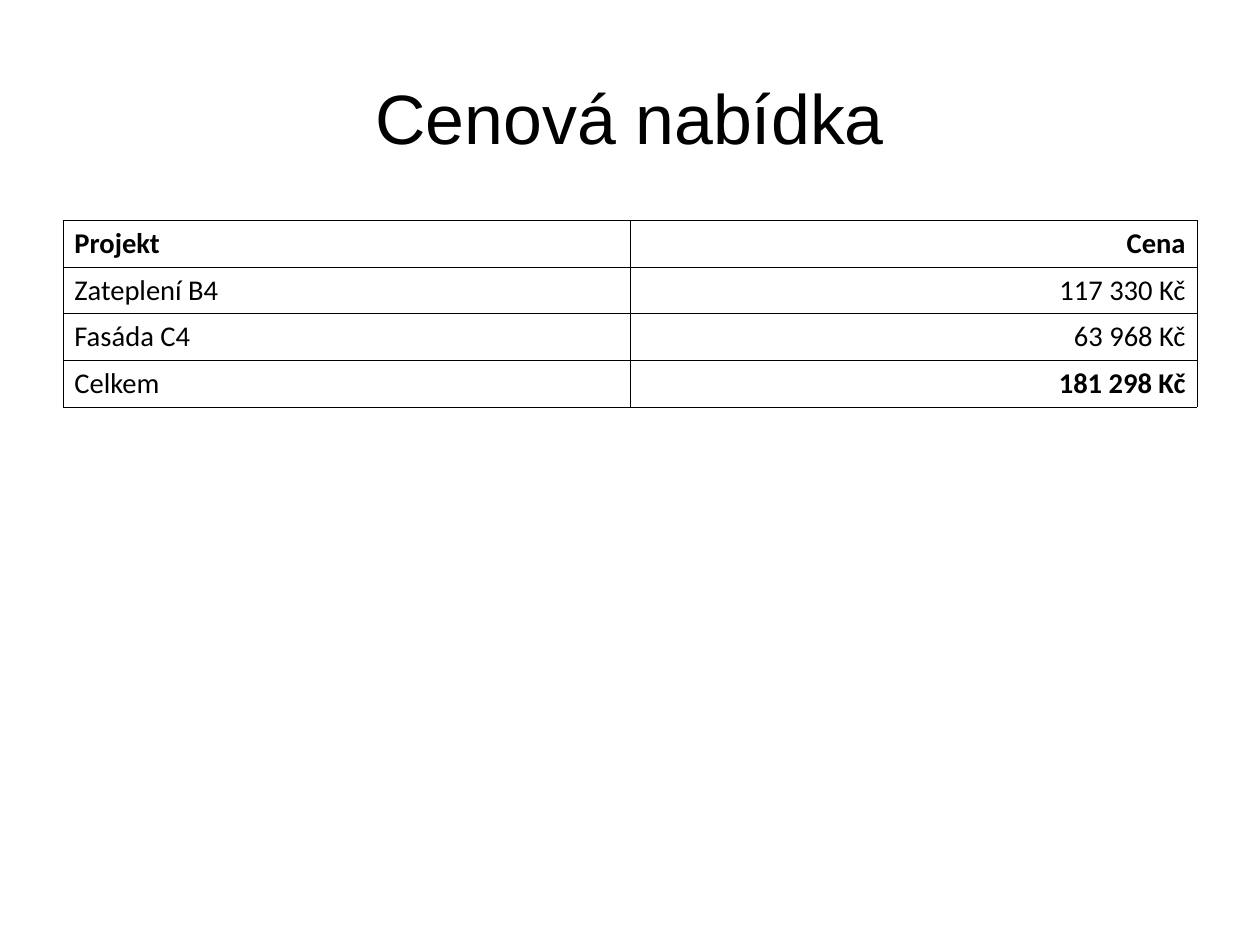
from lxml.etree import SubElement
from pptx import Presentation
from pptx.dml.color import RGBColor
from pptx.enum.text import MSO_ANCHOR, PP_ALIGN
from pptx.oxml.ns import qn
from pptx.util import Cm, Inches, Pt

TITLE = "Cenová nabídka"
PRICES = [
    ("Projekt", "Cena"),
    ("Zateplení B4", "117 330 Kč"),
    ("Fasáda C4", "63 968 Kč"),
    ("Celkem", "181 298 Kč"),
]
BOLD_CELLS = {(0, 0), (0, 1), (3, 1)}
ALIGNMENTS = (PP_ALIGN.LEFT, PP_ALIGN.RIGHT)
COLORS = {"text": "000000", "border": "000000"}

SLIDE_W, SLIDE_H = Cm(28), Cm(21)
MARGIN = int(SLIDE_W * 0.05)
CONTENT_W = SLIDE_W - 2 * MARGIN
TITLE_TOP, TITLE_H = Inches(0.33), Inches(1.38)
TABLE_TOP, TABLE_H = Inches(1.93), Inches(1.63)
BORDER_W = Pt(0.45)


def format_text(p, font, size, align, bold=False):
    p.alignment = align
    p.font.name = font
    p.font.size = Pt(size)
    p.font.bold = bold
    p.font.color.rgb = RGBColor.from_string(COLORS["text"])


def add_borders(cell):
    tc_pr = cell._tc.get_or_add_tcPr()
    for side in ("a:lnL", "a:lnR", "a:lnT", "a:lnB"):
        line = SubElement(tc_pr, qn(side), w=str(int(BORDER_W)))
        fill = SubElement(line, qn("a:solidFill"))
        SubElement(fill, qn("a:srgbClr"), val=COLORS["border"])


prs = Presentation()
prs.slide_width = SLIDE_W
prs.slide_height = SLIDE_H
slide = prs.slides.add_slide(prs.slide_layouts[5])

title = slide.shapes.title
title.left, title.top, title.width, title.height = MARGIN, TITLE_TOP, CONTENT_W, TITLE_H
tf = title.text_frame
tf.text = TITLE
tf.margin_left = tf.margin_right = tf.margin_top = tf.margin_bottom = 0
tf.vertical_anchor = MSO_ANCHOR.MIDDLE
format_text(tf.paragraphs[0], "Arial", 44, PP_ALIGN.CENTER)

table = slide.shapes.add_table(
    len(PRICES), len(PRICES[0]), MARGIN, TABLE_TOP, CONTENT_W, TABLE_H
).table
table.first_row = table.horz_banding = False
for row, values in enumerate(PRICES):
    for col, value in enumerate(values):
        cell = table.cell(row, col)
        cell.text = value
        add_borders(cell)
        cell.fill.background()
        format_text(cell.text_frame.paragraphs[0], "Calibri", 18,
                    ALIGNMENTS[col], (row, col) in BOLD_CELLS)

prs.save("out.pptx")
